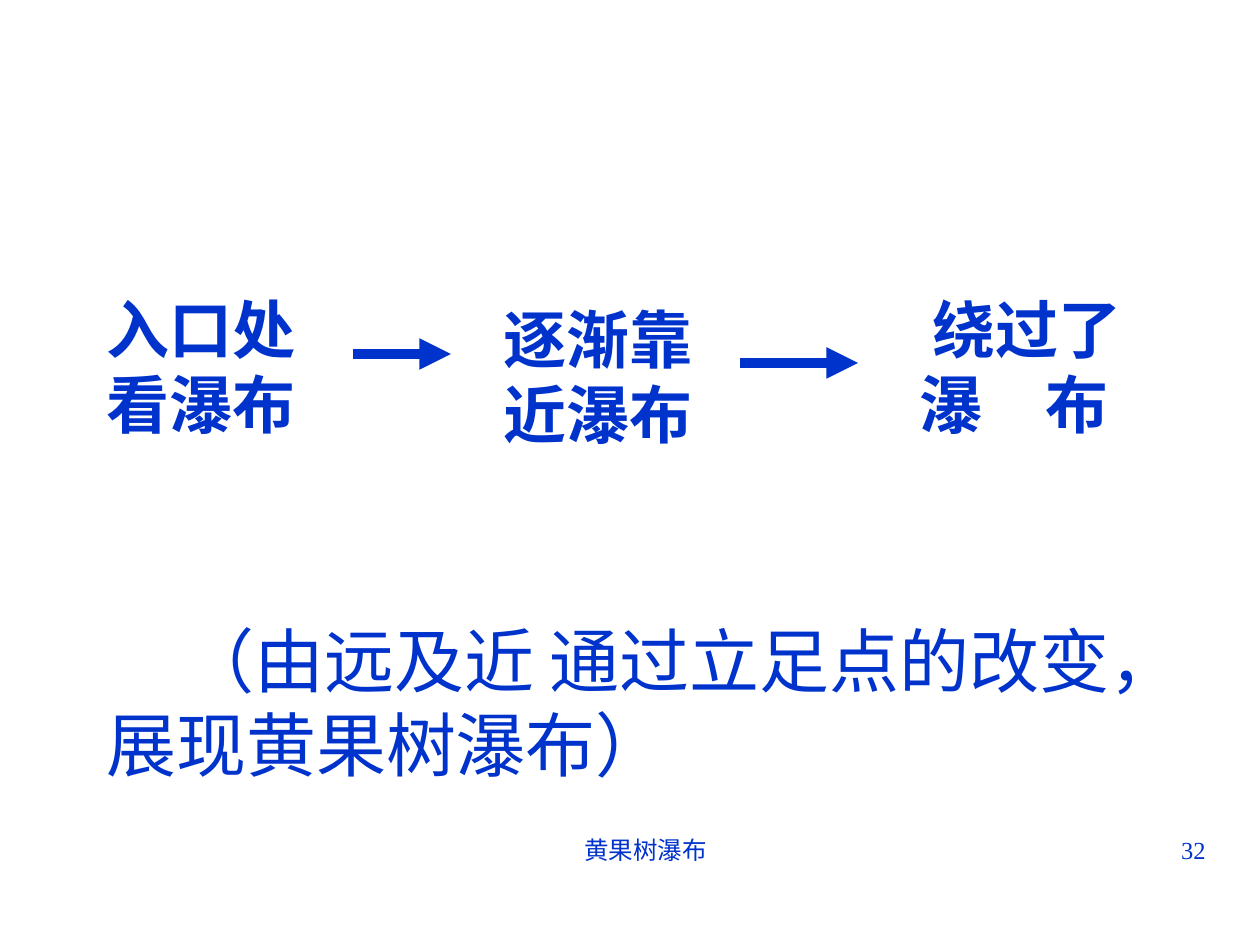
import pptx
import pptx.dml.color
import pptx.enum.shapes
import pptx.enum.text
import pptx.oxml.ns
import pptx.util
import lxml.etree

EMU_PER_PX = 914400 // 126
BLUE = "0033CC"
CJK_FONT = "Noto Sans CJK SC"
ALIGN = pptx.enum.text.PP_ALIGN

# Content: lengths in px
STEP_FORMAT = {"name": "Arial", "size": 36, "bold": True}
NOTE_FORMAT = {"name": CJK_FONT, "size": 40, "bold": False}
FOOTER_FORMAT = {"name": "Times New Roman", "size": 14, "bold": False}

# Each text: box, paragraphs, format, paragraph layout
TEXTS = [
    ((94, 284, 218, 164), ["入口处看瀑布"], STEP_FORMAT, {}),
    ((491, 294, 218, 164), ["逐渐靠近瀑布"], STEP_FORMAT, {}),
    ((907, 284, 238, 164), ["绕过了", "瀑\t布"], STEP_FORMAT, {"first": 13, "tab": 120}),
    ((94, 611, 1101, 181), ["（由远及近 通过立足点的改变，展现黄果树瀑布）"],
     NOTE_FORMAT, {"first": 78}),
    ((431, 829, 399, 66), ["黄果树瀑布"], FOOTER_FORMAT,
     {"left": 30, "align": ALIGN.CENTER}),
    ((903, 829, 315, 66), ["32"], FOOTER_FORMAT, {"left": 30, "align": ALIGN.RIGHT}),
]
ARROWS = [(353, 451, 354), (740, 858, 363)]  # start x, end x, y


def px(length):
    return pptx.util.Emu(length * EMU_PER_PX)


def color(value):
    return pptx.dml.color.RGBColor.from_string(value)


def add_child(parent, tag, **attributes):
    child = lxml.etree.SubElement(parent, pptx.oxml.ns.qn(tag))
    for name, value in attributes.items():
        child.set(name, str(value))
    return child


def add_text(slide, box, lines, text_format, layout):
    frame = slide.shapes.add_textbox(*map(px, box)).text_frame
    frame.word_wrap = True
    for index, line in enumerate(lines):
        paragraph = frame.add_paragraph() if index else frame.paragraphs[0]
        properties = paragraph._p.get_or_add_pPr()
        properties.set("marL", str(px(layout.get("left", 0))))
        properties.set("indent", str(0 if index else px(layout.get("first", 0))))
        if "\t" in line:
            tabs = add_child(properties, "a:tabLst")
            add_child(tabs, "a:tab", pos=px(layout["tab"]), algn="l")
        paragraph.alignment = layout.get("align", ALIGN.LEFT)
        run = paragraph.add_run()
        run.text = line
        values = dict(text_format, size=pptx.util.Pt(text_format["size"]))
        for name, value in values.items():
            setattr(run.font, name, value)
        run.font.color.rgb = color(BLUE)
        add_child(run._r.get_or_add_rPr(), "a:ea", typeface=CJK_FONT)


def add_arrow(slide, start, end, y):
    arrow = slide.shapes.add_connector(
        pptx.enum.shapes.MSO_CONNECTOR.STRAIGHT, px(start), px(y), px(end), px(y))
    arrow.line.color.rgb = color(BLUE)
    arrow.line.width = pptx.util.Pt(6)
    add_child(arrow.line._get_or_add_ln(), "a:tailEnd", type="triangle")
    add_child(arrow._element.spPr, "a:effectLst")


def main():
    presentation = pptx.Presentation()
    presentation.slide_width = pptx.util.Inches(10)
    presentation.slide_height = pptx.util.Inches(7.5)
    slide = presentation.slides.add_slide(presentation.slide_layouts[6])

    # Steps, note and footer
    for text in TEXTS:
        add_text(slide, *text)
    # Arrows between the steps
    for arrow in ARROWS:
        add_arrow(slide, *arrow)

    presentation.save("out.pptx")


if __name__ == "__main__":
    main()
